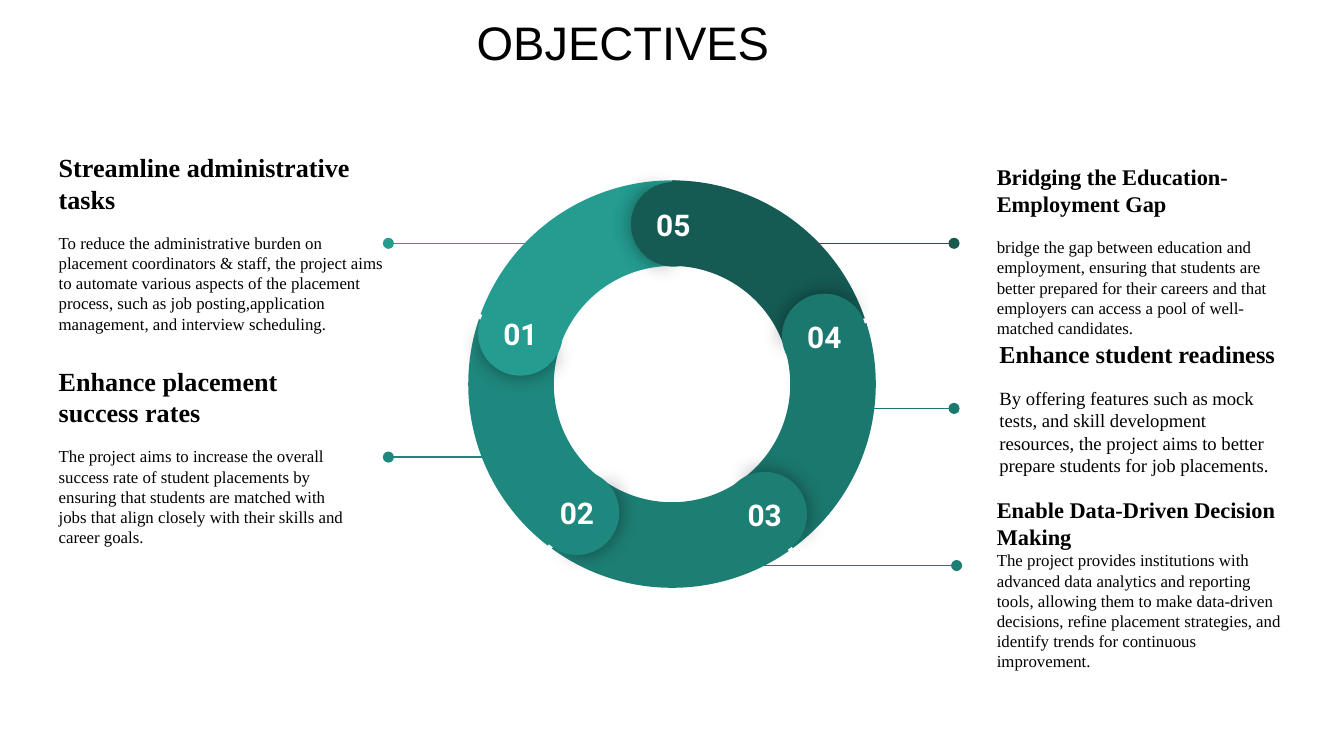
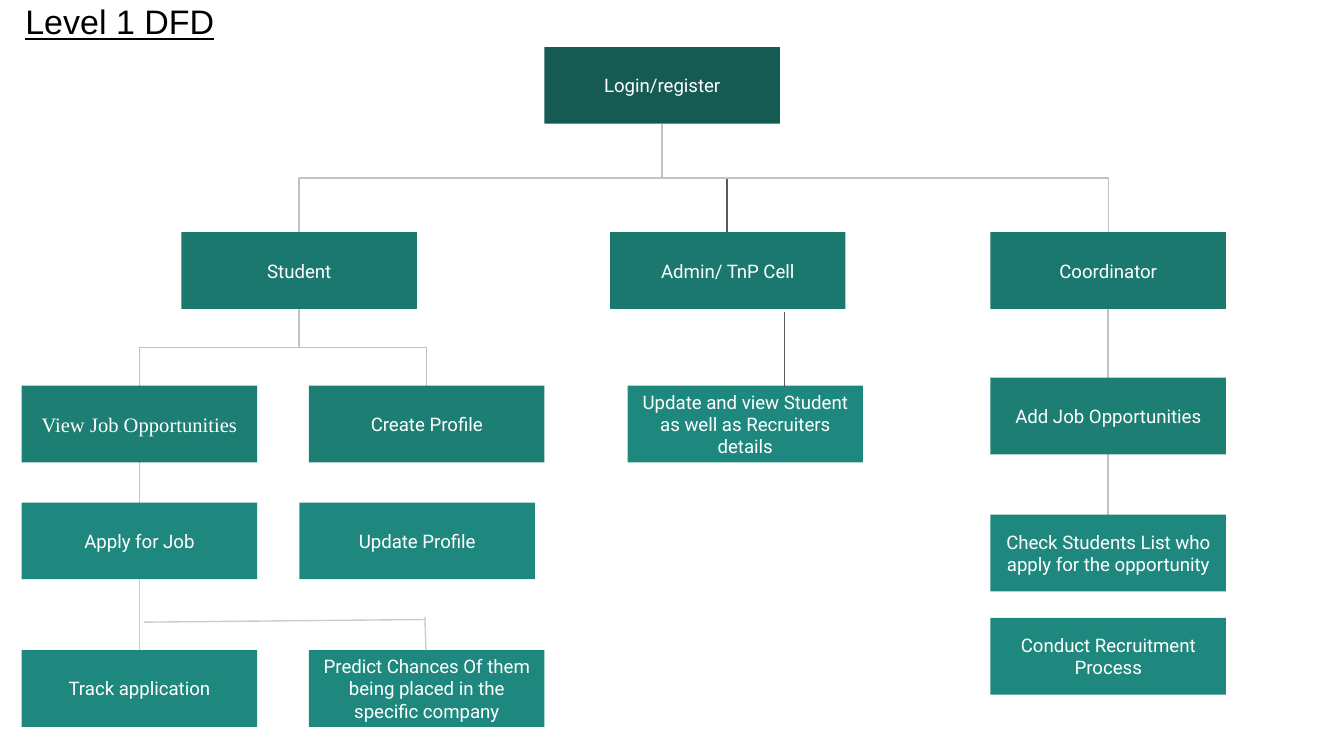
from dataclasses import dataclass
from math import cos, radians, sin

from lxml.etree import SubElement
from pptx import Presentation
from pptx.dml.color import RGBColor
from pptx.enum.shapes import MSO_CONNECTOR, MSO_SHAPE
from pptx.enum.text import MSO_ANCHOR, PP_ALIGN
from pptx.oxml.ns import qn
from pptx.util import Cm, Pt


@dataclass(frozen=True)
class Theme:
    """Colours, fonts and type sizes of the deck."""
    black: str = "000000"
    white: str = "FFFFFF"
    mint: str = "249C90"
    teal: str = "1F887E"
    pine: str = "1D7E74"
    deep: str = "1B786E"
    dark: str = "155B54"
    grey: str = "C2C2C2"
    pale: str = "CCCCCC"
    slate: str = "595959"
    sans: str = "Arial"
    serif: str = "Times New Roman"
    label: str = "Roboto"
    title: float = 25.2
    name: float = 18.2
    count: float = 16
    node: float = 10
    rule: float = 0.75
    inset: float = 0.25


T = Theme()


@dataclass(frozen=True)
class Step:
    """One objective: ring part, pointer and text block (cm and points)."""
    num: str
    hue: str
    line: tuple[float, float, float]  # start x, end x, y
    left: float
    top: float
    head: str
    size: float
    body: str
    small: float = 9
    gap: float = 9.6
    width: float = 5.89
    foot: float = T.inset


@dataclass(frozen=True)
class Node:
    """One box of the flow chart."""
    text: str
    left: float
    top: float
    hue: str
    face: str = T.label
    size: float = T.node

    @property
    def mid(self) -> float:
        return self.left + NODE_W / 2

    @property
    def base(self) -> float:
        return self.top + NODE_H


NODE_W, NODE_H = 4.45, 1.45
BLOCK_H = 2.57
RING_X, RING_Y, RING_D = 12.7, 7.26, 7.7
CAP_D, CAP_R = 1.6, 3.02
TURN = 72

STEPS = (
    Step("01", T.mint, (10.74, 7.34, 4.6), 0.86, 3.45,
         "Streamline administrative tasks", 14,
         "To reduce the administrative burden on placement coordinators & staff, "
         "the project aims to automate various aspects of the placement process, "
         "such as job posting,application management, and interview scheduling.",
         width=6.78, foot=0.55),
    Step("02", T.teal, (9.93, 7.34, 8.64), 0.86, 7.34,
         "Enhance placement success rates", 14,
         "The project aims to increase the overall success rate of student "
         "placements by ensuring that students are matched with jobs that align "
         "closely with their skills and career goals."),
    Step("03", T.pine, (12.98, 18.08, 10.69), 18.59, 9.75,
         "Enable Data-Driven Decision Making", 12,
         "The project provides institutions with advanced data analytics and "
         "reporting tools, allowing them to make data-driven decisions, refine "
         "placement strategies, and identify trends for continuous improvement.",
         gap=0),
    Step("04", T.deep, (15.6, 18.03, 7.72), 18.64, 6.43,
         "Enhance student readiness", 13,
         "By offering features such as mock tests, and skill development "
         "resources, the project aims to better prepare students for job "
         "placements.", small=10),
    Step("05", T.dark, (14.48, 18.03, 4.6), 18.59, 3.45,
         "Bridging the Education-Employment Gap", 12,
         "bridge the gap between education and employment, ensuring that students "
         "are better prepared for their careers and that employers can access a "
         "pool of well-matched candidates.", gap=10.8),
)

LOGIN = Node("Login/register", 10.29, 0.89, T.dark)
PUPIL = Node("Student", 3.43, 4.39, T.deep)
ADMIN = Node("Admin/ TnP Cell", 11.53, 4.39, T.deep)
COORD = Node("Coordinator", 18.72, 4.39, T.deep)
VIEW = Node("View Job Opportunities", 0.41, 7.29, T.pine, T.serif, 11)
MAKE = Node("Create Profile", 5.84, 7.29, T.pine)
POST = Node("Add Job Opportunities", 18.72, 7.14, T.pine)
APPLY = Node("Apply for Job", 0.41, 9.5, T.teal)
CHECK = Node("Check Students List who apply for the opportunity", 18.72, 9.73, T.teal)
NODES = (
    LOGIN, PUPIL, ADMIN, COORD, VIEW, MAKE, POST, APPLY, CHECK,
    Node("Update Profile", 5.66, 9.5, T.teal),
    Node("Track application", 0.41, 12.29, T.teal),
    Node("Predict Chances Of them being placed in the specific company",
         5.84, 12.29, T.teal),
    Node("Conduct Recruitment Process", 18.72, 11.68, T.teal),
    Node("Update and view Student as well as Recruiters details",
         11.86, 7.29, T.teal),
)
LINKS = ((LOGIN, COORD), (LOGIN, PUPIL), (PUPIL, MAKE), (PUPIL, VIEW),
         (COORD, POST), (VIEW, APPLY), (POST, CHECK))
LINES = (
    (2.64, 10.95, 2.64, 12.29, T.pale),
    (2.72, 11.76, 8.03, 11.71, T.pale),
    (8.03, 11.66, 8.05, 12.29, T.pale),
    (13.74, 3.38, 13.74, 4.39, T.slate),
    (14.83, 5.89, 14.83, 7.34, T.slate),
)


# Shared drawing helpers
def style(para, face: str, size: float, hue: str, bold: bool = False) -> None:
    for run in para.runs:
        run.font.name, run.font.size, run.font.bold = face, Pt(size), bold
        run.font.color.rgb = RGBColor.from_string(hue)


def frame(shape, anchor=MSO_ANCHOR.TOP, foot: float = T.inset):
    text = shape.text_frame
    text.word_wrap, text.vertical_anchor = True, anchor
    text.margin_left = text.margin_right = text.margin_top = Cm(T.inset)
    text.margin_bottom = Cm(foot)
    return text


def box(slide, left: float, top: float, width: float, height: float):
    return slide.shapes.add_textbox(Cm(left), Cm(top), Cm(width), Cm(height))


def solid(slide, kind, left: float, top: float, width: float, height: float, hue: str):
    shape = slide.shapes.add_shape(kind, Cm(left), Cm(top), Cm(width), Cm(height))
    shape.shadow.inherit = False
    shape.fill.solid()
    shape.fill.fore_color.rgb = RGBColor.from_string(hue)
    shape.line.fill.background()
    return shape


def wire(slide, x1: float, y1: float, x2: float, y2: float, hue: str,
         kind=MSO_CONNECTOR.STRAIGHT):
    line = slide.shapes.add_connector(kind, Cm(x1), Cm(y1), Cm(x2), Cm(y2))
    line.line.color.rgb = RGBColor.from_string(hue)
    line.line.width = Pt(T.rule)
    SubElement(line._element.spPr, qn("a:effectLst"))
    return line


def title(slide, text: str, left: float, top: float, size: float, indent: float = 0):
    para = frame(box(slide, left, top, 24, 1.5)).paragraphs[0]
    para.text = text
    para._p.get_or_add_pPr().set("marL", str(Cm(indent)))
    style(para, T.sans, size, T.black)
    return para


# Objectives: pointers, text blocks and ring
def block(slide, step: Step) -> None:
    start, end, y = step.line
    line = wire(slide, start, y, end, y, step.hue)
    SubElement(line.line._get_or_add_ln(), qn("a:tailEnd"), type="oval")
    shape = box(slide, step.left, step.top, step.width, BLOCK_H)
    text = frame(shape, MSO_ANCHOR.MIDDLE, step.foot)
    head, body = text.paragraphs[0], text.add_paragraph()
    head.text, body.text = step.head, step.body
    body.space_before = Pt(step.gap)
    style(head, T.serif, step.size, T.black, True)
    style(body, T.serif, step.small, T.black)


def wedge(slide, kind, x: float, y: float, size: float, hue: str, turn: float,
          *bends: float):
    shape = solid(slide, kind, x - size / 2, y - size / 2, size, size, hue)
    shape.rotation = turn % 360
    for i, bend in enumerate(bends):
        shape.adjustments[i] = bend
    return shape


def glow(shape) -> None:
    effect = shape._element.spPr.find(qn("a:effectLst"))
    shade = SubElement(effect, qn("a:outerShdw"), blurRad=str(Pt(11.2)), dist="0",
                       dir="0", algn="ctr", rotWithShape="0")
    tint = SubElement(shade, qn("a:srgbClr"), val=T.black)
    SubElement(tint, qn("a:alpha"), val="43000")


def cap(slide, step: Step, i: int) -> None:
    angle = radians(288.5 - TURN * i)
    x, y = RING_X + CAP_R * sin(angle), RING_Y - CAP_R * cos(angle)
    turn = 284 - TURN * i
    glow(wedge(slide, MSO_SHAPE.PIE, x, y, CAP_D, step.hue, turn, 61.9, 149.96))
    wedge(slide, MSO_SHAPE.PIE, x, y, CAP_D, step.hue, turn + 179.3, 40.28, 171.84)
    para = frame(box(slide, x - 0.71, y - 0.58, 1.42, 0.74)).paragraphs[0]
    para.text, para.alignment = step.num, PP_ALIGN.CENTER
    style(para, T.label, T.count, T.white, True)


def goals(slide) -> None:
    title(slide, "OBJECTIVES", 0.15, 0, T.title, 8.61)
    for step in STEPS:
        block(slide, step)
    for i, step in enumerate(STEPS):
        wedge(slide, MSO_SHAPE.BLOCK_ARC, RING_X, RING_Y, RING_D, step.hue,
              350 - 72.5 * i, 126.03, 168.68, 0.21)
    for i, step in enumerate(STEPS):
        cap(slide, step, i)


# Flow chart: boxes and links
def elbow(slide, top: Node, low: Node) -> None:
    (x1, y1), (x2, y2) = sorted([(top.mid, top.base), (low.mid, low.top)])
    x, y = (x1 + x2) / 2, (y1 + y2) / 2
    rise, run = (y2 - y1) / 2, (x2 - x1) / 2
    line = wire(slide, x + rise, y - run, x - rise, y + run, T.grey,
                MSO_CONNECTOR.ELBOW)
    line._element.spPr.find(qn("a:xfrm")).set("rot", str(270 * 60000))


def chart(slide) -> None:
    para = title(slide, "Level 1 DFD", 0.23, -0.23, T.name)
    para.runs[0].font.underline = True
    for top, low in LINKS:
        elbow(slide, top, low)
    for node in NODES:
        shape = solid(slide, MSO_SHAPE.RECTANGLE, node.left, node.top,
                      NODE_W, NODE_H, node.hue)
        para = frame(shape, MSO_ANCHOR.MIDDLE).paragraphs[0]
        para.text, para.alignment = node.text, PP_ALIGN.CENTER
        style(para, node.face, node.size, T.white)
    for line in LINES:
        wire(slide, *line)


def main() -> None:
    deck = Presentation()
    deck.slide_width, deck.slide_height = Cm(25.4), Cm(14.29)
    for draw in (goals, chart):
        draw(deck.slides.add_slide(deck.slide_layouts[6]))
    deck.save("out.pptx")


if __name__ == "__main__":
    main()
